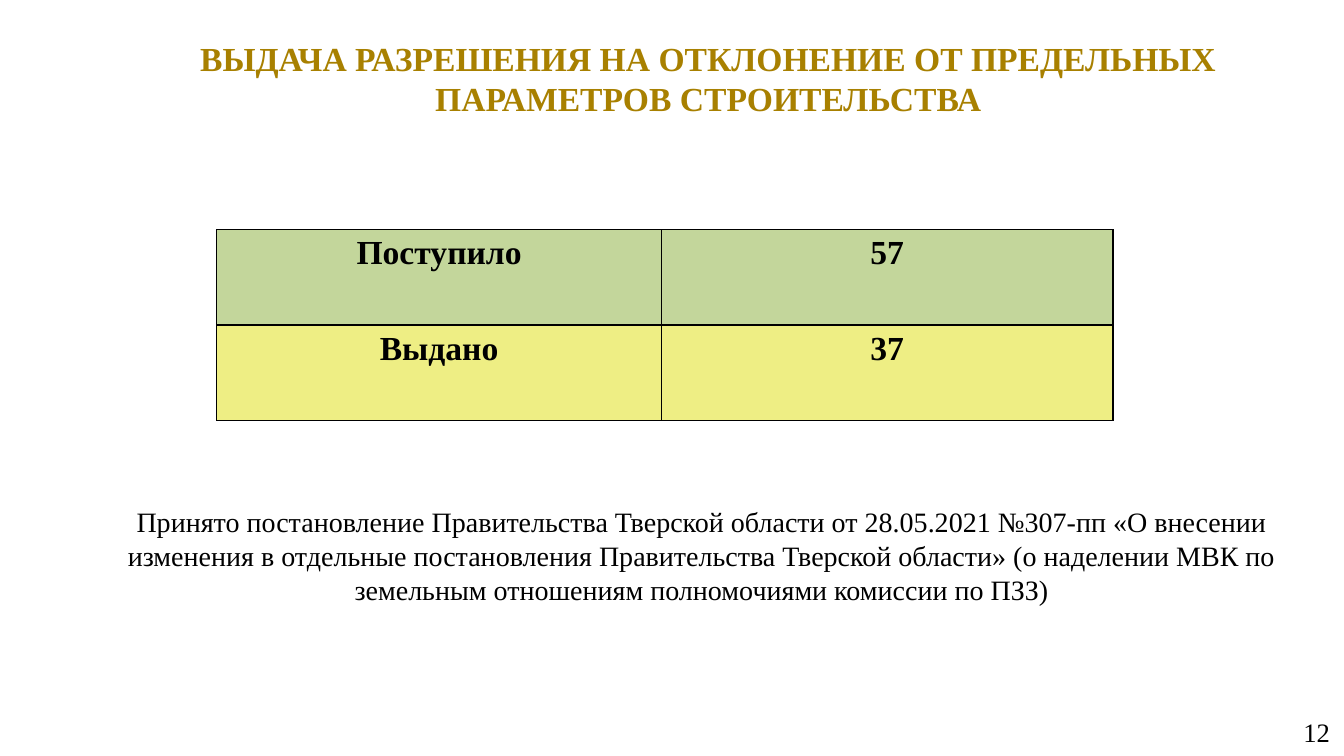
from pptx import Presentation
from pptx.dml.color import RGBColor
from pptx.enum.text import MSO_ANCHOR as Anchor, MSO_AUTO_SIZE as Fit, PP_ALIGN as Align
from pptx.oxml import parse_xml
from pptx.oxml.ns import nsdecls
from pptx.util import Pt

PX = 9144  # 100 px to the inch
FONT = "Times New Roman"
BLACK, GOLD, GREEN, YELLOW = "000000", "A88000", "C3D69B", "EEEE84"
ROWS = [("Поступило", "57", GREEN), ("Выдано", "37", YELLOW)]
TITLE = "ВЫДАЧА РАЗРЕШЕНИЯ НА ОТКЛОНЕНИЕ ОТ ПРЕДЕЛЬНЫХ ПАРАМЕТРОВ СТРОИТЕЛЬСТВА"
NOTE = ("Принято постановление Правительства Тверской области от 28.05.2021 "
        "№307-пп «О внесении изменения в отдельные постановления Правительства "
        "Тверской области» (о наделении МВК по земельным отношениям "
        "полномочиями комиссии по ПЗЗ)")


def px(*nums):
    return [num * PX for num in nums]


def color(code):
    return RGBColor.from_string(code)


def write(frame, text, size, bold=False, hue=BLACK, align=Align.CENTER):
    frame.text = text
    para = frame.paragraphs[0]
    para.alignment = align
    font = para.runs[0].font
    font.name, font.size, font.bold = FONT, Pt(size), bold
    font.color.rgb = color(hue)


def pad(item, side, edge):
    item.margin_left = item.margin_right = side * PX
    item.margin_top = item.margin_bottom = edge * PX


def set_frame(frame):
    frame.word_wrap = True
    frame.auto_size = Fit.NONE
    frame.vertical_anchor = Anchor.MIDDLE
    pad(frame, 13, 7)


def add_title(slide, text):
    title = slide.shapes.title
    title.left, title.top, title.width, title.height = px(131, 28, 1143, 99)
    set_frame(title.text_frame)
    write(title.text_frame, text, 24, True, GOLD)


def add_text(slide, box, text, size, align=Align.CENTER):
    frame = slide.shapes.add_textbox(*px(*box)).text_frame
    set_frame(frame)
    write(frame, text, size, align=align)


def add_lines(cell):
    """Draw a thin black border on all four sides of a cell."""
    props = cell._tc.get_or_add_tcPr()
    for side in "LRTB":
        props.append(parse_xml(
            f'<a:ln{side} {nsdecls("a")} w="{Pt(0.96)}"><a:solidFill>'
            f'<a:srgbClr val="{BLACK}"/></a:solidFill></a:ln{side}>'))


def add_grid(slide, rows):
    table = slide.shapes.add_table(len(rows), 2, *px(215, 228, 889, 189)).table
    table.first_row = table.horz_banding = False
    for col, width in zip(table.columns, px(441, 448)):
        col.width = width
    for r, (label, count, hue) in enumerate(rows):
        for c, text in enumerate((label, count)):
            cell = table.cell(r, c)
            pad(cell, 13, 5)
            add_lines(cell)
            cell.fill.solid()
            cell.fill.fore_color.rgb = color(hue)
            write(cell.text_frame, text, 24, True)


def main():
    deck = Presentation()
    deck.slide_width, deck.slide_height = px(1333, 750)
    slide = deck.slides.add_slide(deck.slide_layouts[5])
    add_title(slide, TITLE)
    add_text(slide, (1022, 707, 310, 39), "12", 19, Align.RIGHT)
    add_grid(slide, ROWS)
    add_text(slide, (101, 498, 1190, 106), NOTE, 20)
    deck.save("out.pptx")


if __name__ == "__main__":
    main()
